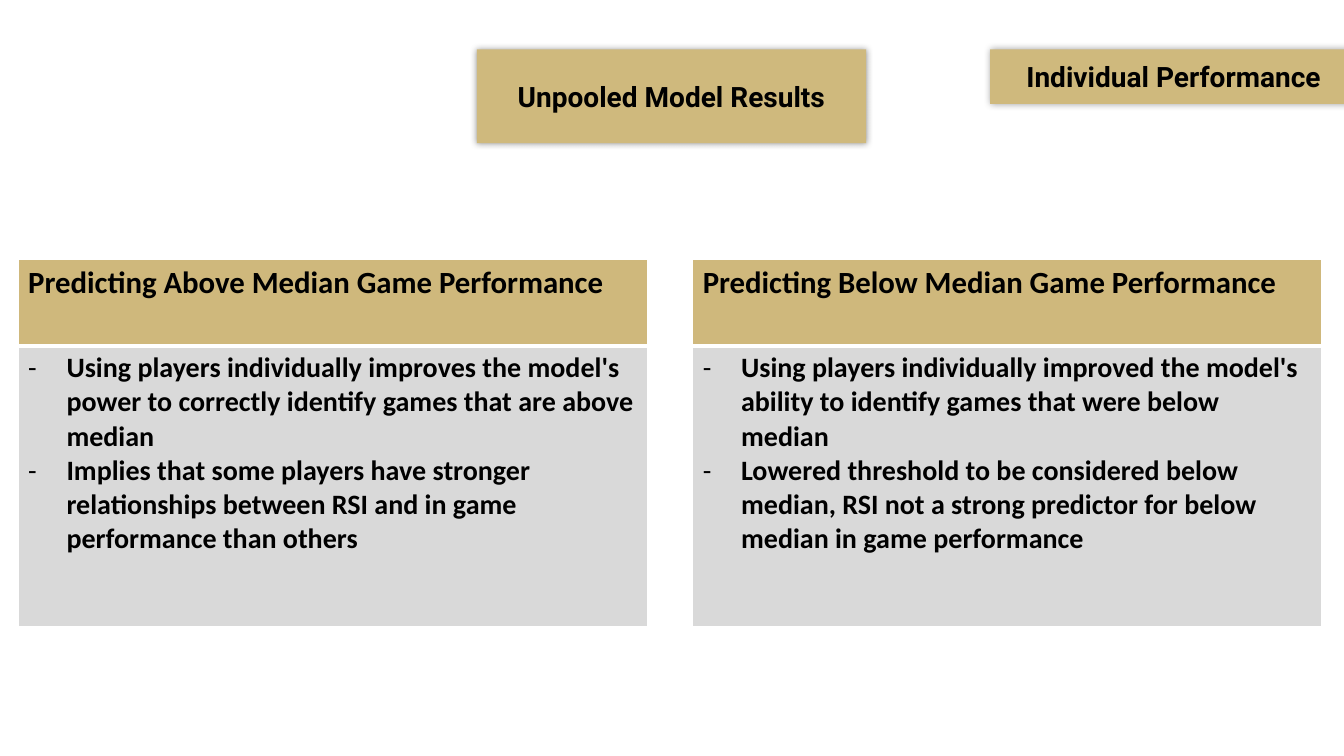
"""Build the slide of unpooled model results with two single-column tables."""
import pptx
import pptx.dml.color
import pptx.enum.text
import pptx.oxml
import pptx.util
from pptx.util import Inches

THEME = {
    "badge": "CFB97D", "header": "CFB87C", "body": "D9D9D9",
    "text": "000000", "border": "FFFFFF",
    "badge_font": "Roboto", "table_font": "Calibri",
    "badge_size": 20, "header_size": 22, "body_size": 20,
}
NAMESPACE = 'xmlns:a="http://schemas.openxmlformats.org/drawingml/2006/main"'


def paint(target, color):
    target.fill.solid()
    target.fill.fore_color.rgb = pptx.dml.color.RGBColor.from_string(THEME[color])


def style_text(frame, font, size):
    for para in frame.paragraphs:
        for span in para.runs:
            span.font.name = THEME[font]
            span.font.size = pptx.util.Pt(THEME[size])
            span.font.bold = True
            span.font.color.rgb = pptx.dml.color.RGBColor.from_string(THEME["text"])


deck = pptx.Presentation()
deck.slide_width, deck.slide_height = Inches(13.33), Inches(7.5)
page = deck.slides.add_slide(deck.slide_layouts[5])

title = page.shapes.title
topic = page.shapes.add_textbox(0, 0, Inches(1), Inches(1))
badges = [
    (title, "Unpooled Model Results", 4.73, 3.86, 0.93),
    (topic, "Individual Performance", 9.82, 3.64, 0.54),
]
for box, words, left, width, height in badges:
    box.left, box.top = Inches(left), Inches(0.49)
    box.width, box.height = Inches(width), Inches(height)
    paint(box, "badge")
    box.line.fill.background()
    box.shadow.inherit = False
    effects = box.element.spPr.find(pptx.oxml.ns.qn("a:effectLst"))
    effects.append(pptx.oxml.parse_xml(
        f'<a:outerShdw {NAMESPACE} blurRad="{pptx.util.Pt(5)}" dist="0" dir="0">'
        '<a:srgbClr val="000000"><a:alpha val="40000"/></a:srgbClr></a:outerShdw>'))
    frame = box.text_frame
    frame.text = words
    frame.word_wrap = True
    frame.auto_size = pptx.enum.text.MSO_AUTO_SIZE.NONE
    frame.vertical_anchor = pptx.enum.text.MSO_ANCHOR.MIDDLE
    frame.margin_left = frame.margin_right = frame.margin_top = frame.margin_bottom = 0
    frame.paragraphs[0].alignment = pptx.enum.text.PP_ALIGN.CENTER
    style_text(frame, "badge_font", "badge_size")

findings = [
    (0.18, "Predicting Above Median Game Performance", [
        "Using players individually improves the model's power to correctly identify "
        "games that are above median",
        "Implies that some players have stronger relationships between RSI and in game "
        "performance than others"]),
    (6.87, "Predicting Below Median Game Performance", [
        "Using players individually improved the model's ability to identify games that "
        "were below median",
        "Lowered threshold to be considered below median, RSI not a strong predictor for "
        "below median in game performance"]),
]
for left, heading, points in findings:
    table = page.shapes.add_table(
        2, 1, Inches(left), Inches(2.57), Inches(6.24), Inches(3.65)).table
    table.rows[0].height, table.rows[1].height = Inches(0.86), Inches(2.79)
    header, body = table.cell(0, 0), table.cell(1, 0)
    header.text = heading
    body.text = "\n".join(points)
    for cell, role, bottom in ((header, "header", 3), (body, "body", 1)):
        properties = cell._tc.get_or_add_tcPr()
        top = 1 if cell is header else 3
        for side, weight in (("L", 1), ("R", 1), ("T", top), ("B", bottom)):
            properties.append(pptx.oxml.parse_xml(
                f'<a:ln{side} {NAMESPACE} w="{pptx.util.Pt(weight)}"><a:solidFill>'
                f'<a:srgbClr val="{THEME["border"]}"/></a:solidFill></a:ln{side}>'))
        paint(cell, role)
        style_text(cell.text_frame, "table_font", f"{role}_size")
    for para in body.text_frame.paragraphs:
        layout = para._p.get_or_add_pPr()
        layout.set("marL", str(Inches(0.38)))
        layout.set("indent", str(-Inches(0.38)))
        for mark in ('buFont {} typeface="Calibri"', 'buChar {} char="-"'):
            layout.append(pptx.oxml.parse_xml(f"<a:{mark.format(NAMESPACE)}/>"))

deck.save("out.pptx")
